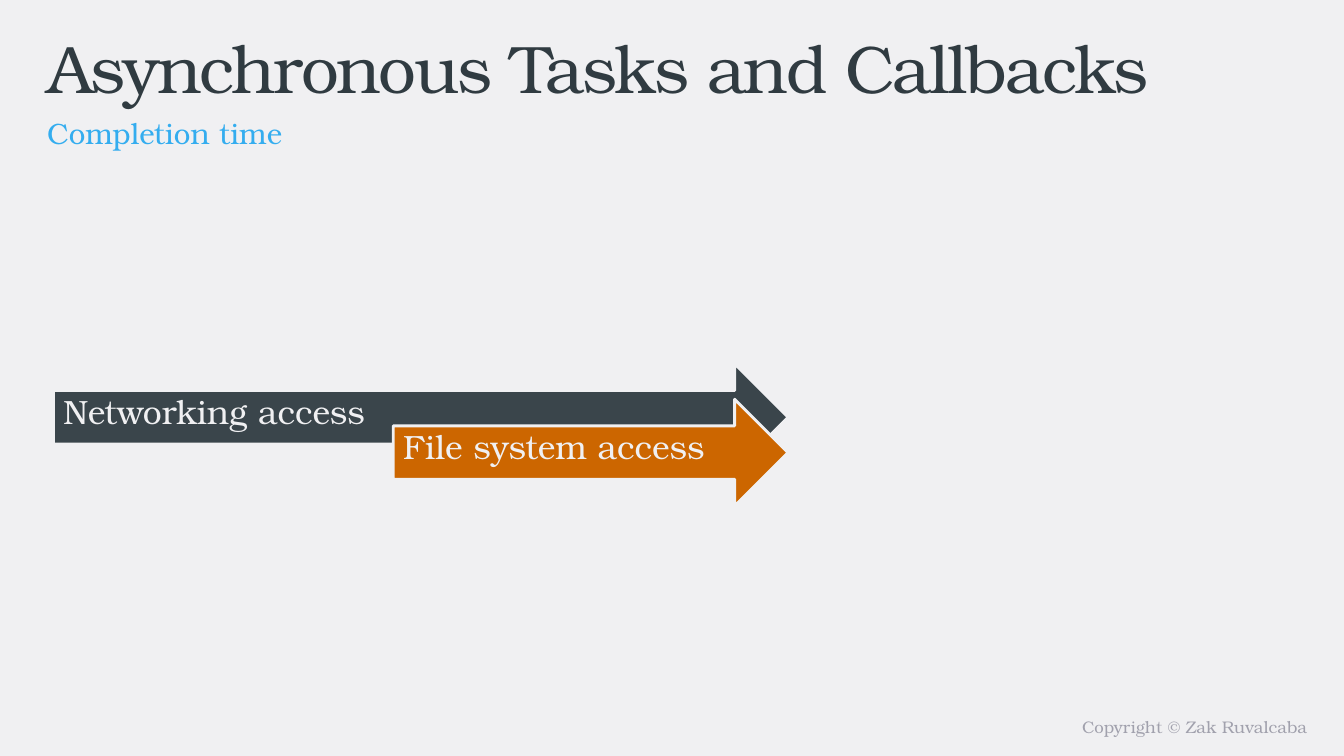
import pptx
import pptx.dml.color
import pptx.enum.shapes
import pptx.enum.text
import pptx.util
from dataclasses import dataclass

Cm = pptx.util.Cm
Pt = pptx.util.Pt
Align = pptx.enum.text.PP_ALIGN
Anchor = pptx.enum.text.MSO_ANCHOR


@dataclass(frozen=True)
class Theme:
    """Font, colours and type sizes of the slide."""
    font: str = "TeX Gyre Bonum"
    background: str = "F0F0F2"
    title: str = "303B41"
    subtitle: str = "34ADEF"
    footer: str = "A1A1AD"
    network: str = "3A454B"
    files: str = "CC6600"
    title_size: int = 48
    subtitle_size: int = 21
    label_size: int = 24
    footer_size: int = 12


theme = Theme()


def color(value):
    """Turn a hex string into a colour."""
    return pptx.dml.color.RGBColor.from_string(value)


def add_text(shapes, box, text, size, hue, align=Align.LEFT):
    """Add a one-line text box, given left, top, width, height in cm."""
    shape = shapes.add_textbox(*map(Cm, box))
    shape.text_frame.word_wrap = True
    paragraph = shape.text_frame.paragraphs[0]
    paragraph.alignment = align
    run = paragraph.add_run()
    run.text = text
    run.font.name = theme.font
    run.font.size = Pt(size)
    run.font.color.rgb = color(hue)
    return shape


presentation = pptx.Presentation()
presentation.slide_width = Cm(33.87)
presentation.slide_height = Cm(19.05)
slide = presentation.slides.add_slide(presentation.slide_layouts[6])
slide.background.fill.solid()
slide.background.fill.fore_color.rgb = color(theme.background)

# Footer and headings
add_text(slide.shapes, (16.94, 17.93, 16.26, 0.79), "Copyright © Zak Ruvalcaba",
         theme.footer_size, theme.footer, Align.RIGHT)

title = add_text(slide.shapes, (0.94, 0.53, 29.87, 2.01),
                 "Asynchronous Tasks and Callbacks", theme.title_size, theme.title)
title_run = title.text_frame.paragraphs[0].runs[0]
title_run.font._element.set("spc", "-150")

subtitle = add_text(slide.shapes, (0.94, 2.51, 29.87, 0.99), "Completion time",
                    theme.subtitle_size, theme.subtitle)
subtitle.text_frame.paragraphs[0].line_spacing = 1.3

# Task arrows, which all end at the same time
arrow_end = 19.86
arrow_height = 2.69
label_height = arrow_height / 2
tip_width = arrow_height / 4
tasks = [
    ("Networking access", 1.35, 9.17, theme.network),
    ("File system access", 9.91, 10.06, theme.files),
]
for name, left, top, fill in tasks:
    width = arrow_end - left
    group = slide.shapes.add_group_shape()
    arrow = group.shapes.add_shape(
        pptx.enum.shapes.MSO_SHAPE.RIGHT_ARROW,
        Cm(left), Cm(top), Cm(width), Cm(arrow_height))
    arrow.shadow.inherit = False
    arrow.fill.solid()
    arrow.fill.fore_color.rgb = color(fill)
    arrow.line.color.rgb = color(theme.background)
    arrow.line.width = Pt(2)

    label_box = (left, top + arrow_height / 4, width - tip_width, label_height)
    label = add_text(group.shapes, label_box, name, theme.label_size, theme.background)
    frame = label.text_frame
    frame.vertical_anchor = Anchor.MIDDLE
    frame.margin_left = frame.margin_top = Cm(0.25)
    frame.margin_right = Cm(0.71)
    frame.margin_bottom = Cm(0.43)
    frame.paragraphs[0].line_spacing = 0.9

presentation.save("out.pptx")
